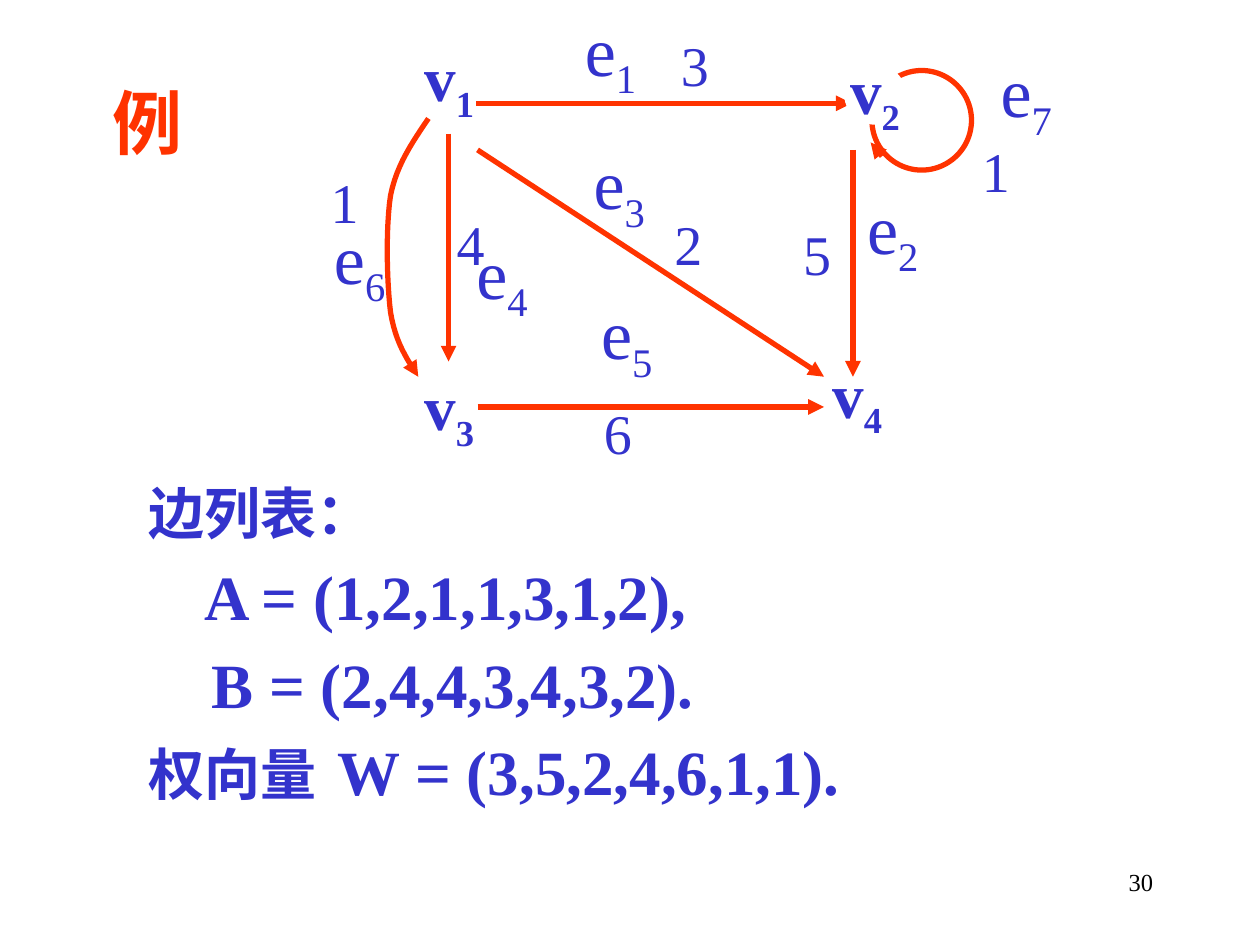
from dataclasses import dataclass

from pptx import Presentation
from pptx.dml.color import RGBColor
from pptx.enum.shapes import MSO_CONNECTOR as Connector, MSO_SHAPE as Preset
from pptx.enum.text import MSO_ANCHOR as Anchor, MSO_AUTO_SIZE as AutoSize, PP_ALIGN as Align
from pptx.oxml.ns import qn
from pptx.util import Inches, Pt


@dataclass(frozen=True)
class Theme:
    font: str = "Times New Roman"
    ink: RGBColor = RGBColor(0x33, 0x33, 0xCC)
    accent: RGBColor = RGBColor(0xFF, 0x33, 0x00)
    paper: RGBColor = RGBColor(0xFF, 0xFF, 0xFF)
    black: RGBColor = RGBColor(0, 0, 0)
    large: int = 40
    formula: int = 36
    text: int = 32
    small: int = 14
    stroke: int = 3


def bezier(start, control_1, control_2, end, steps=12):
    for step in range(1, steps + 1):
        t = step / steps
        weights = ((1 - t) ** 3, 3 * t * (1 - t) ** 2, 3 * t * t * (1 - t), t ** 3)
        points = (start, control_1, control_2, end)
        yield tuple(Inches(sum(w * p[axis] for w, p in zip(weights, points))) for axis in (0, 1))


class SlideWriter:
    def __init__(self, slide, theme):
        self.slide = slide
        self.theme = theme

    def format_run(self, run, size, color, bold=False):
        font = run.font
        font.name = self.theme.font
        font.size = Pt(size)
        font.bold = bold
        font.color.rgb = color

    def place(self, shape, box):
        shape.left, shape.top, shape.width, shape.height = map(Inches, box)

    def stroke(self, shape, arrow=False):
        shape.line.color.rgb = self.theme.accent
        shape.line.width = Pt(self.theme.stroke)
        if arrow:
            line = shape.line._get_or_add_ln()
            line.makeelement(qn("a:tailEnd"))
            tail = line.makeelement(qn("a:tailEnd"), {"type": "triangle"})
            line.append(tail)

    def title(self, text, box):
        shape = self.slide.shapes.title
        self.place(shape, box)
        shape.text_frame.text = text
        shape.text_frame.auto_size = AutoSize.NONE
        paragraph = shape.text_frame.paragraphs[0]
        paragraph.alignment = Align.CENTER
        self.format_run(paragraph.runs[0], self.theme.large, self.theme.accent, True)

    def body(self, lines, box, tab_stop):
        shape = self.slide.placeholders[1]
        self.place(shape, box)
        frame = shape.text_frame
        frame.auto_size = AutoSize.NONE
        for index, (indent, space, pieces) in enumerate(lines):
            paragraph = frame.add_paragraph() if index else frame.paragraphs[0]
            paragraph.space_before = Pt(space)
            properties = paragraph._p.get_or_add_pPr()
            properties.set("marL", str(Inches(indent)))
            properties.set("indent", "0")
            properties.append(properties.makeelement(qn("a:buNone")))
            tabs = properties.makeelement(qn("a:tabLst"))
            tabs.append(tabs.makeelement(qn("a:tab"), {"pos": str(Inches(tab_stop)), "algn": "l"}))
            properties.append(tabs)
            for text, size in pieces:
                run = paragraph.add_run()
                run.text = text
                self.format_run(run, size, self.theme.ink, True)

    def label(self, text, box, size, bold=False, fill=None):
        shape = self.slide.shapes.add_shape(Preset.OVAL, *map(Inches, box))
        shape.shadow.inherit = False
        shape.line.fill.background()
        if fill is None:
            shape.fill.background()
        else:
            shape.fill.solid()
            shape.fill.fore_color.rgb = fill
        frame = shape.text_frame
        frame.word_wrap = False
        frame.vertical_anchor = Anchor.MIDDLE
        paragraph = frame.paragraphs[0]
        paragraph.alignment = Align.CENTER
        for index, character in enumerate(text):
            run = paragraph.add_run()
            run.text = character
            self.format_run(run, size, self.theme.ink, bold)
            if index:
                run._r.get_or_add_rPr().set("baseline", "-25000")

    def arrow(self, start, end):
        connector = self.slide.shapes.add_connector(Connector.STRAIGHT, *map(Inches, start + end))
        self.stroke(connector, arrow=True)
        properties = connector._element.spPr
        properties.append(properties.makeelement(qn("a:effectLst")))

    def loop(self, box):
        shape = self.slide.shapes.add_shape(Preset.OVAL, *map(Inches, box))
        shape.shadow.inherit = False
        shape.fill.background()
        self.stroke(shape)

    def curved_arrow(self, start, curves):
        builder = self.slide.shapes.build_freeform(*map(Inches, start))
        points = []
        for control_1, control_2, end in curves:
            points.extend(bezier(start, control_1, control_2, end))
            start = end
        builder.add_line_segments(points, close=False)
        shape = builder.convert_to_shape()
        shape.shadow.inherit = False
        shape.fill.background()
        self.stroke(shape, arrow=True)

    def page_number(self, text, box):
        shape = self.slide.shapes.add_textbox(*map(Inches, box))
        frame = shape.text_frame
        frame.word_wrap = True
        frame.text = text
        frame.paragraphs[0].alignment = Align.RIGHT
        self.format_run(frame.paragraphs[0].runs[0], self.theme.small, self.theme.black)


def main():
    presentation = Presentation()
    presentation.slide_width = Inches(10)
    presentation.slide_height = Inches(7.5)
    slide = presentation.slides.add_slide(presentation.slide_layouts[1])
    theme = Theme()
    writer = SlideWriter(slide, theme)

    writer.title("例", (0.67, 0.58, 1, 0.77))
    writer.body([
        (0, 6, [("边列表：", theme.text)]),
        (0.44, 6.8, [("A = (1,2,1,1,3,1,2),", theme.formula)]),
        (0.5, 6.8, [("B = (2,4,4,3,4,3,2).", theme.formula)]),
        (0, 6.8, [("权向量\t", theme.text), ("W = (3,5,2,4,6,1,1).", theme.formula)]),
    ], (1.08, 3.75, 7.25, 2.72), 1.75)

    writer.loop((6.92, 0.56, 0.79, 0.79))
    edges = [
        ((3.78, 0.82), (6.76, 0.82)),
        ((6.77, 1.19), (6.77, 2.99)),
        ((3.56, 1.06), (3.56, 2.87)),
        ((3.79, 3.23), (6.54, 3.23)),
        ((3.79, 1.19), (6.54, 2.99)),
        ((7, 1.24), (6.91, 1.13)),
    ]
    for start, end in edges:
        writer.arrow(start, end)
    writer.curved_arrow((3.4, 0.94), [
        ((3.28, 1.12), (3.15, 1.3), (3.1, 1.55)),
        ((3.06, 1.81), (3.07, 2.24), (3.1, 2.48)),
        ((3.14, 2.72), (3.23, 2.85), (3.32, 2.99)),
    ])

    vertices = [("v1", 3.32, 0.41), ("v2", 6.7, 0.51), ("v3", 3.32, 3.02), ("v4", 6.56, 2.92)]
    for name, left, top in vertices:
        fill = theme.paper if name == "v2" else None
        writer.label(name, (left, top, 0.49, 0.48), theme.formula, True, fill)

    edge_names = [
        ("e1", 4.6, 0.19), ("e2", 6.84, 1.6), ("e3", 4.67, 1.25), ("e4", 3.74, 1.96),
        ("e5", 4.73, 2.44), ("e6", 2.61, 1.84), ("e7", 7.9, 0.52),
    ]
    for name, left, top in edge_names:
        writer.label(name, (left, top, 0.49, 0.48), theme.large)

    weights = [
        ("3", 5.28, 0.33), ("5", 6.25, 1.83), ("2", 5.23, 1.75), ("4", 3.5, 1.75),
        ("6", 4.67, 3.25), ("1", 2.5, 1.42), ("1", 7.67, 1.17),
    ]
    for weight, left, top in weights:
        writer.label(weight, (left, top, 0.47, 0.36), theme.text)

    writer.page_number("30", (7.17, 6.83, 2.08, 0.5))
    presentation.save("out.pptx")


if __name__ == "__main__":
    main()
